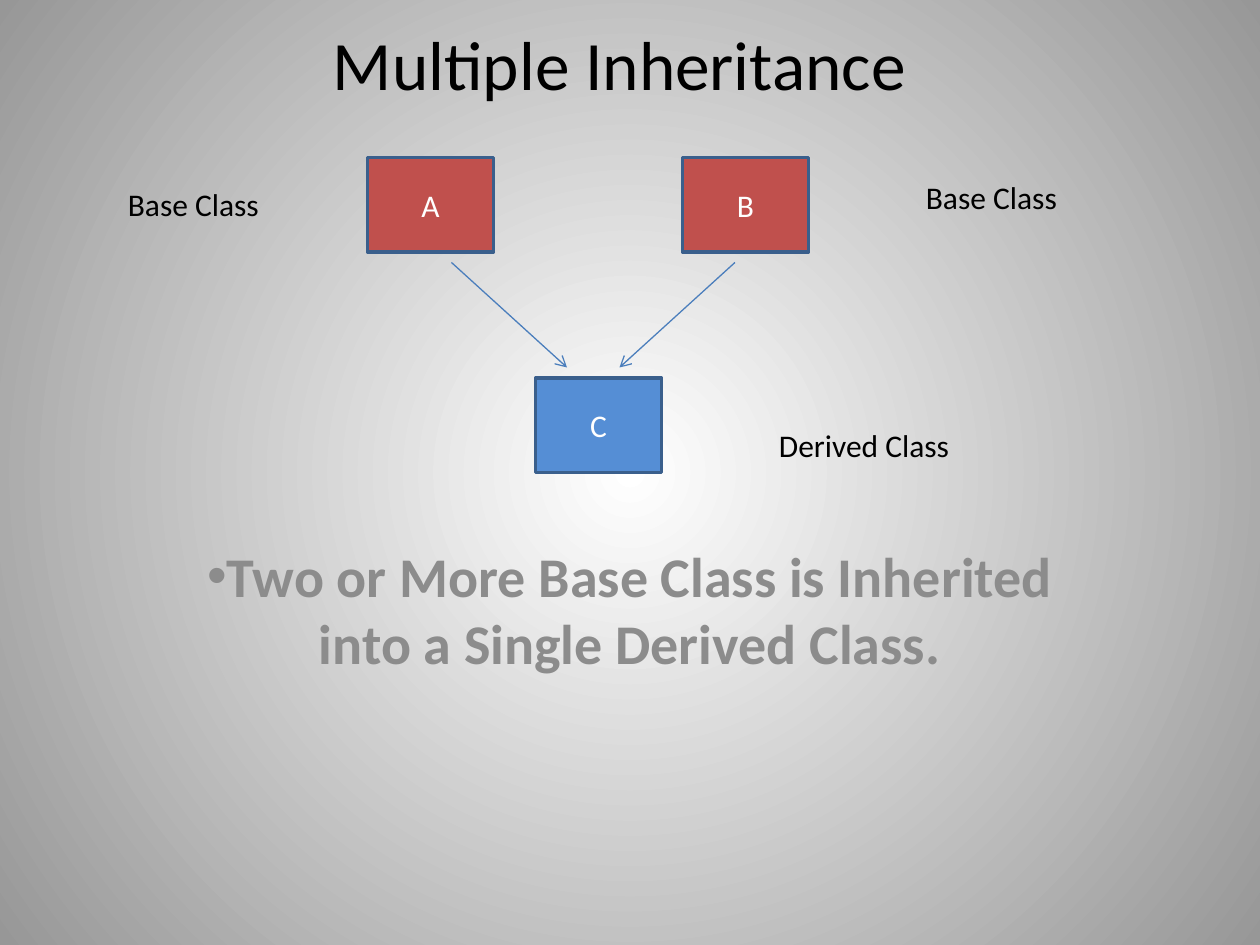
from lxml import etree
from pptx import Presentation
from pptx.dml.color import RGBColor
from pptx.enum.shapes import MSO_CONNECTOR, MSO_SHAPE
from pptx.enum.text import MSO_ANCHOR, MSO_AUTO_SIZE, PP_ALIGN
from pptx.oxml.ns import qn
from pptx.util import Inches, Pt

RECT = MSO_SHAPE.RECTANGLE
LINE = MSO_CONNECTOR.STRAIGHT
TOP, MIDDLE = MSO_ANCHOR.TOP, MSO_ANCHOR.MIDDLE
LEFT, CENTER = PP_ALIGN.LEFT, PP_ALIGN.CENTER
GROW = MSO_AUTO_SIZE.SHAPE_TO_FIT_TEXT
NONE = MSO_AUTO_SIZE.NONE

THEME = {
    "font": "Calibri",
    "title": 39.6, "body": 32, "label": 18,
    "ink": "000000", "muted": "8C8C8C", "light": "FFFFFF",
    "base": "C0504D", "derived": "558ED5",
    "edge": "3A5F8C", "arrow": "4B7EBC",
    "glow": ["FFFFFF", "979797"],
}
COLS, ROWS = 120, 90


def put(item, values):
    for name, value in values.items():
        setattr(item, name, value)


def add(node, tag, **values):
    return etree.SubElement(node, qn(tag), values)


class Deck:
    """Holds the theme and the current slide, and draws on a grid."""

    def __init__(self, theme):
        self.theme = theme
        self.prs = Presentation()
        put(self.prs, {"slide_width": Inches(10), "slide_height": Inches(7.5)})
        self.slide = self.prs.slides.add_slide(self.prs.slide_layouts[6])
        self.shapes = self.slide.shapes

    def color(self, name):
        return RGBColor.from_string(self.theme[name])

    def grid(self, *cells):
        units = (self.prs.slide_width / COLS, self.prs.slide_height / ROWS)
        return [round(cell * units[i % 2]) for i, cell in enumerate(cells)]

    def glow(self):
        fill = self.slide.background.fill
        fill.gradient()
        for stop, tone in zip(fill.gradient_stops, self.theme["glow"]):
            stop.color.rgb = RGBColor.from_string(tone)
        grad = self.slide.element.find(".//" + qn("a:gradFill"))
        grad.remove(grad.find(qn("a:lin")))
        route = add(grad, "a:path", path="circle")
        add(route, "a:fillToRect", l="50000", t="50000", r="50000", b="50000")

    def label(self, shape, text, size="label", ink="ink", align=LEFT,
              anchor=TOP, bold=False, fit=NONE):
        frame = shape.text_frame
        put(frame, {"word_wrap": True, "auto_size": fit, "vertical_anchor": anchor})
        par = frame.paragraphs[0]
        par.alignment = align
        run = par.add_run()
        run.text = text
        put(run.font, {"name": self.theme["font"], "bold": bold,
                       "size": Pt(self.theme[size])})
        run.font.color.rgb = self.color(ink)
        return par

    def text(self, cells, text, **style):
        return self.label(self.shapes.add_textbox(*self.grid(*cells)), text, **style)

    def bullet(self, cells, text, **style):
        par = self.text(cells, text, **style)
        par.space_before = Pt(self.theme[style["size"]] * 0.2)
        props = par._p.get_or_add_pPr()
        for name in ("marL", "indent"):
            props.set(name, "0")
        add(props, "a:buFont", typeface="Arial")
        add(props, "a:buChar", char="•")

    def box(self, col, row, text, fill):
        shape = self.shapes.add_shape(RECT, *self.grid(col, row, 12, 9))
        shape.shadow.inherit = False
        shape.fill.solid()
        shape.fill.fore_color.rgb = self.color(fill)
        shape.line.color.rgb = self.color("edge")
        shape.line.width = Pt(2)
        self.label(shape, text, ink="light", align=CENTER, anchor=MIDDLE)

    def arrow(self, *cells):
        link = self.shapes.add_connector(LINE, *self.grid(*cells))
        link.line.color.rgb = self.color("arrow")
        link.line.width = Pt(0.75)
        props = link._element.spPr
        add(props.find(qn("a:ln")), "a:tailEnd", type="arrow")
        add(props, "a:effectLst")


deck = Deck(THEME)
deck.glow()
deck.text((8, 3, 102, 6), "Multiple Inheritance", size="title",
          align=CENTER, anchor=MIDDLE)
deck.bullet((18, 51, 84, 23),
            "Two or More Base Class is Inherited into a Single Derived Class.",
            size="body", ink="muted", align=CENTER, bold=True)
for col, row, name, fill in [(35, 15, "A", "base"), (65, 15, "B", "base"),
                             (51, 36, "C", "derived")]:
    deck.box(col, row, name, fill)
for start, end in [(43, 54), (70, 59)]:
    deck.arrow(start, 25, end, 35)
for col, row, width, name in [(11, 17, 18, "Base Class"),
                              (87, 16.4, 18, "Base Class"),
                              (73, 40, 39, "Derived Class")]:
    deck.text((col, row, width, 4.8), name, fit=GROW)
deck.prs.save("out.pptx")
